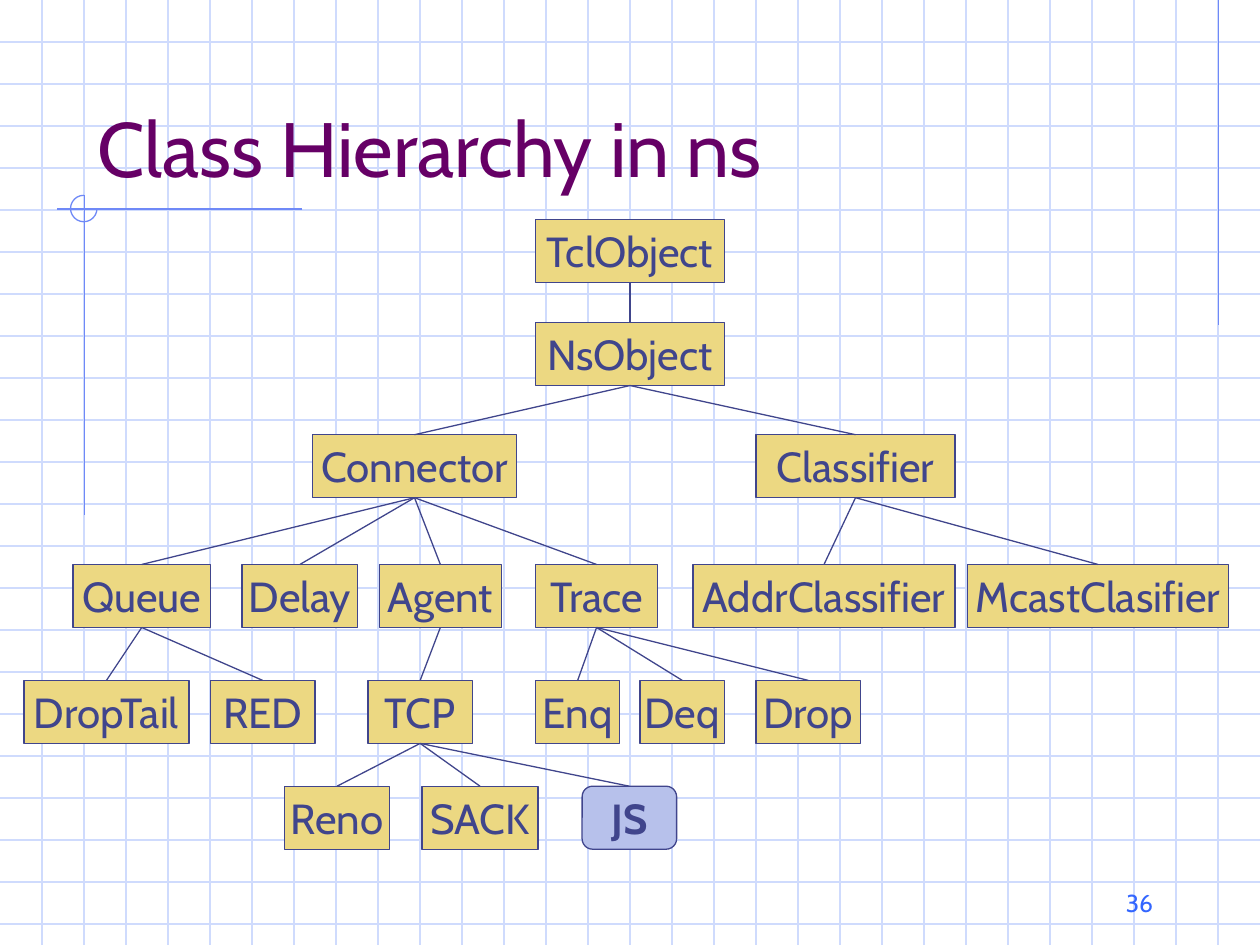
from dataclasses import dataclass

from pptx import Presentation
from pptx.dml.color import RGBColor
from pptx.enum.shapes import MSO_CONNECTOR, MSO_SHAPE
from pptx.enum.text import MSO_ANCHOR, MSO_AUTO_SIZE, PP_ALIGN
from pptx.oxml.ns import qn
from pptx.util import Inches, Pt

COLORS = {
    "grid": "CFDBFD",
    "accent": "6F89F7",
    "title": "660066",
    "ink": "40458C",
    "box": "ECD882",
    "new": "B7C1EB",
    "number": "3366FF",
}
FONT = "Cabin"
WIDTH, HEIGHT = 10, 7.5
BOX_H = 0.5
ROWS = [1.74, 2.56, 3.45, 4.48, 5.4, 6.24]
BOTTOM, TOP = 2, 0  # connection sites


@dataclass
class Node:
    name: str
    parent: str
    row: int
    left: float
    width: float


NODES = [
    Node("TclObject", "", 0, 4.25, 1.5),
    Node("NsObject", "TclObject", 1, 4.25, 1.5),
    Node("Connector", "NsObject", 2, 2.48, 1.62),
    Node("Classifier", "NsObject", 2, 6, 1.58),
    Node("Queue", "Connector", 3, 0.58, 1.09),
    Node("Delay", "Connector", 3, 1.92, 0.92),
    Node("Agent", "Connector", 3, 3.01, 0.97),
    Node("Trace", "Connector", 3, 4.25, 0.97),
    Node("AddrClassifier", "Classifier", 3, 5.5, 2.08),
    Node("McastClasifier", "Classifier", 3, 7.68, 2.07),
    Node("DropTail", "Queue", 4, 0.19, 1.31),
    Node("RED", "Queue", 4, 1.67, 0.83),
    Node("TCP", "Agent", 4, 2.92, 0.83),
    Node("Enq", "Trace", 4, 4.25, 0.67),
    Node("Deq", "Trace", 4, 5.08, 0.67),
    Node("Drop", "Trace", 4, 6, 0.83),
    Node("Reno", "TCP", 5, 2.26, 0.83),
    Node("SACK", "TCP", 5, 3.35, 0.92),
    Node("JS", "TCP", 5, 4.62, 0.75),
]


def rgb(name: str) -> RGBColor:
    return RGBColor.from_string(COLORS[name])


def style_text(p, size: float, color: str, align, bold: bool = False) -> None:
    p.alignment = align
    p.font.name = FONT
    p.font.size = Pt(size)
    p.font.bold = bold
    p.font.color.rgb = rgb(color)


def add_line(s, x1: float, y1: float, x2: float, y2: float, color: str):
    c = s.shapes.add_connector(MSO_CONNECTOR.STRAIGHT, Inches(x1), Inches(y1),
                               Inches(x2), Inches(y2))
    c.line.color.rgb = rgb(color)
    c.line.width = Pt(0.75)
    sp_pr = c.element.spPr
    sp_pr.append(sp_pr.makeelement(qn("a:effectLst"), {}))
    return c


def add_node(s, node: Node):
    is_new = node.name == "JS"
    kind = MSO_SHAPE.ROUNDED_RECTANGLE if is_new else MSO_SHAPE.RECTANGLE
    sp = s.shapes.add_shape(kind, Inches(node.left), Inches(ROWS[node.row]),
                            Inches(node.width), Inches(BOX_H))
    sp.shadow.inherit = False
    sp.fill.solid()
    sp.fill.fore_color.rgb = rgb("new" if is_new else "box")
    sp.line.color.rgb = rgb("ink")
    sp.line.width = Pt(0.75)
    tf = sp.text_frame
    tf.word_wrap = False
    tf.vertical_anchor = MSO_ANCHOR.MIDDLE
    tf.text = node.name
    style_text(tf.paragraphs[0], 24, "ink", PP_ALIGN.CENTER, is_new)
    return sp


def add_background(s) -> None:
    # Grid, three squares to the inch
    for i in range(1, 23):
        add_line(s, 0, i / 3, WIDTH, i / 3, "grid")
    for i in range(1, 30):
        add_line(s, i / 3, 0, i / 3, HEIGHT, "grid")
    # Accent lines
    add_line(s, 9.67, 0, 9.67, 2.58, "accent")
    add_line(s, 2.4, 1.66, 0.45, 1.66, "accent")
    add_line(s, 0.67, 1.55, 0.67, 4.09, "accent")
    # Three-quarter circle; angles are in units of 5/3 degree
    arc = s.shapes.add_shape(MSO_SHAPE.ARC, Inches(0.56), Inches(1.55),
                             Inches(0.21), Inches(0.21))
    arc.adjustments[0] = 0
    arc.adjustments[1] = 270 * 0.6
    arc.shadow.inherit = False
    arc.fill.background()
    arc.line.color.rgb = rgb("accent")
    arc.line.width = Pt(0.75)


def add_title(s, text: str) -> None:
    title = s.shapes.title
    title.left, title.top = Inches(0.67), Inches(0.33)
    title.width, title.height = Inches(8.5), Inches(1.25)
    tf = title.text_frame
    tf.text = text
    tf.word_wrap = True
    tf.auto_size = MSO_AUTO_SIZE.NONE
    tf.vertical_anchor = MSO_ANCHOR.BOTTOM
    style_text(tf.paragraphs[0], 44, "title", PP_ALIGN.LEFT)
    s.shapes.element.append(title.element)  # in front of the grid


def add_tree(s) -> None:
    boxes = {node.name: add_node(s, node) for node in NODES}
    for node in NODES:
        if node.parent:
            c = add_line(s, 0, 0, 1, 1, "ink")
            c.begin_connect(boxes[node.parent], BOTTOM)
            c.end_connect(boxes[node.name], TOP)


def add_page_number(s, number: str) -> None:
    tb = s.shapes.add_textbox(Inches(7.17), Inches(6.83), Inches(2.08), Inches(0.5))
    tf = tb.text_frame
    tf.word_wrap = True
    tf.vertical_anchor = MSO_ANCHOR.BOTTOM
    tf.text = number
    style_text(tf.paragraphs[0], 14, "number", PP_ALIGN.RIGHT)


def main() -> None:
    prs = Presentation()
    prs.slide_width, prs.slide_height = Inches(WIDTH), Inches(HEIGHT)
    s = prs.slides.add_slide(prs.slide_layouts[5])
    add_background(s)
    add_title(s, "Class Hierarchy in ns")
    add_tree(s)
    add_page_number(s, "36")
    prs.save("out.pptx")


if __name__ == "__main__":
    main()
